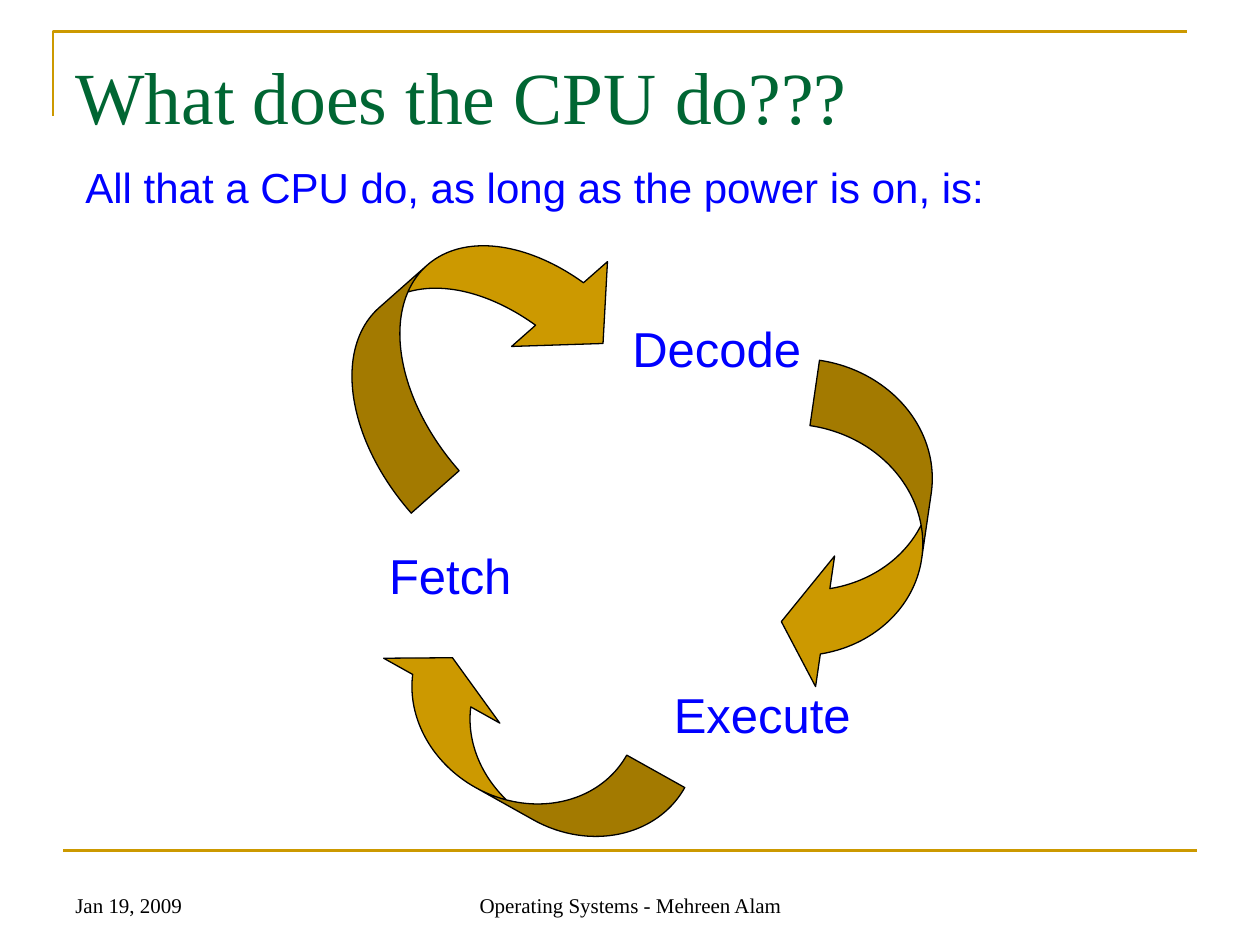
from pptx import Presentation
from pptx.dml.color import RGBColor
from pptx.enum import shapes, text
from pptx.oxml import parse_xml
from pptx.oxml.ns import nsdecls
from pptx.util import Inches, Pt

GOLD = RGBColor(0xCC, 0x99, 0x00)
GREEN = RGBColor(0x00, 0x66, 0x33)
BLUE = RGBColor(0x00, 0x00, 0xFF)
BLACK = RGBColor(0x00, 0x00, 0x00)
SERIF, SANS = "Times New Roman", "Arial"


class SlideWriter:
    """Holds the current slide and draws each kind of element on it."""

    def __init__(self, page):
        self.page = page

    def text(self, words, left, top, width, height, size, font, color,
             anchor=text.MSO_ANCHOR.TOP, align=text.PP_ALIGN.LEFT, wrap=True):
        box = self.page.shapes.add_textbox(
            Inches(left), Inches(top), Inches(width), Inches(height))
        frame = box.text_frame
        frame.text = words
        frame.word_wrap = wrap
        frame.vertical_anchor = anchor
        if not wrap:
            frame.auto_size = text.MSO_AUTO_SIZE.SHAPE_TO_FIT_TEXT
        para = frame.paragraphs[0]
        para.alignment = align
        span = para.runs[0]
        span.font.size = Pt(size)
        span.font.name = font
        span.font.color.rgb = color
        return para

    def rule(self, x1, y1, x2, y2):
        line = self.page.shapes.add_connector(
            shapes.MSO_CONNECTOR.STRAIGHT,
            Inches(x1), Inches(y1), Inches(x2), Inches(y2))
        line.line.color.rgb = GOLD
        line.line.width = Pt(1.5)
        line._element.spPr.append(parse_xml(f"<a:effectLst {nsdecls('a')}/>"))

    def corner(self, points):
        start, *rest = [(Inches(x), Inches(y)) for x, y in points]
        builder = self.page.shapes.build_freeform(*start)
        builder.add_line_segments(rest, close=False)
        outline = builder.convert_to_shape()
        outline.shadow.inherit = False
        outline.fill.background()
        outline.line.color.rgb = GOLD
        outline.line.width = Pt(1.5)

    def cycle_arrow(self, left, top, width, height, rotation):
        arrow = self.page.shapes.add_shape(
            shapes.MSO_SHAPE.CURVED_LEFT_ARROW,
            Inches(left), Inches(top), Inches(width), Inches(height))
        arrow.rotation = rotation
        # Shaft and head widths are fifths of the height; the head is a third of the width
        arrow.adjustments[0] = 0.2 * height / width
        arrow.adjustments[1] = 0.4 * height / width
        arrow.adjustments[2] = 1 / 3
        arrow.shadow.inherit = False
        arrow.fill.solid()
        arrow.fill.fore_color.rgb = GOLD
        arrow.line.color.rgb = BLACK
        arrow.line.width = Pt(0.75)


def main():
    deck = Presentation()
    deck.slide_width, deck.slide_height = Inches(10), Inches(7.5)
    writer = SlideWriter(deck.slides.add_slide(deck.slide_layouts[6]))

    # Frame lines
    writer.corner([(0.42, 0.92), (0.42, 0.25), (9.42, 0.25)])
    writer.rule(0.5, 6.75, 9.5, 6.75)

    # Footer
    bottom = text.MSO_ANCHOR.BOTTOM
    writer.text("Jan 19, 2009", 0.5, 6.83, 2.33, 0.5, 12, SERIF, BLACK, bottom)
    writer.text("Operating Systems - Mehreen Alam", 3.42, 6.83, 3.17, 0.5,
                12, SERIF, BLACK, bottom, text.PP_ALIGN.CENTER)

    # Title
    writer.text("What does the CPU do???", 0.5, 0.13, 9, 1.25,
                42, SERIF, GREEN, text.MSO_ANCHOR.MIDDLE)

    # Cycle arrows: left, top, width, height, rotation
    for arrow in [(3.06, 1.44, 1.39, 2.54, 228.5),
                  (6.31, 2.92, 1.03, 2.62, 8.3),
                  (3.68, 4.64, 0.81, 2.64, 119.2)]:
        writer.cycle_arrow(*arrow)

    # Cycle steps
    for step, left, top, width in [("Fetch", 2.99, 4.28, 1.17),
                                   ("Execute", 5.25, 5.38, 1.6),
                                   ("Decode", 4.92, 2.48, 1.54)]:
        writer.text(step, left, top, width, 0.57, 28, SANS, BLUE, wrap=False)

    # Introduction with a hanging indent
    intro = writer.text("All that a CPU do, as long as the power is on, is:",
                        0.58, 1.28, 8.04, 0.9, 24, SANS, BLUE)
    intro.line_spacing = 0.9
    intro.space_before = Pt(15)
    properties = intro._p.get_or_add_pPr()
    properties.set("marL", str(Inches(0.38)))
    properties.set("indent", str(Inches(-0.38)))

    deck.save("out.pptx")


if __name__ == "__main__":
    main()
